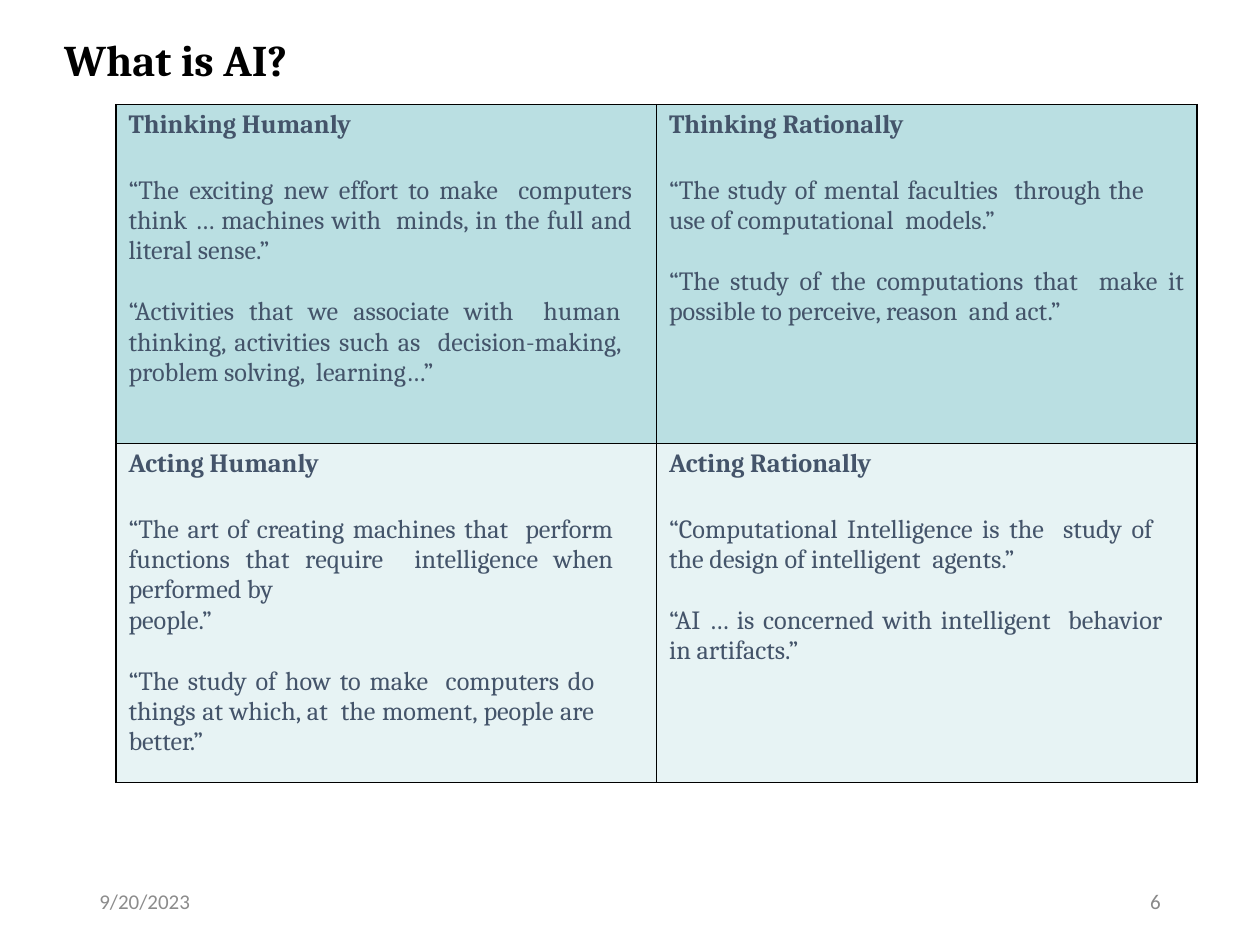
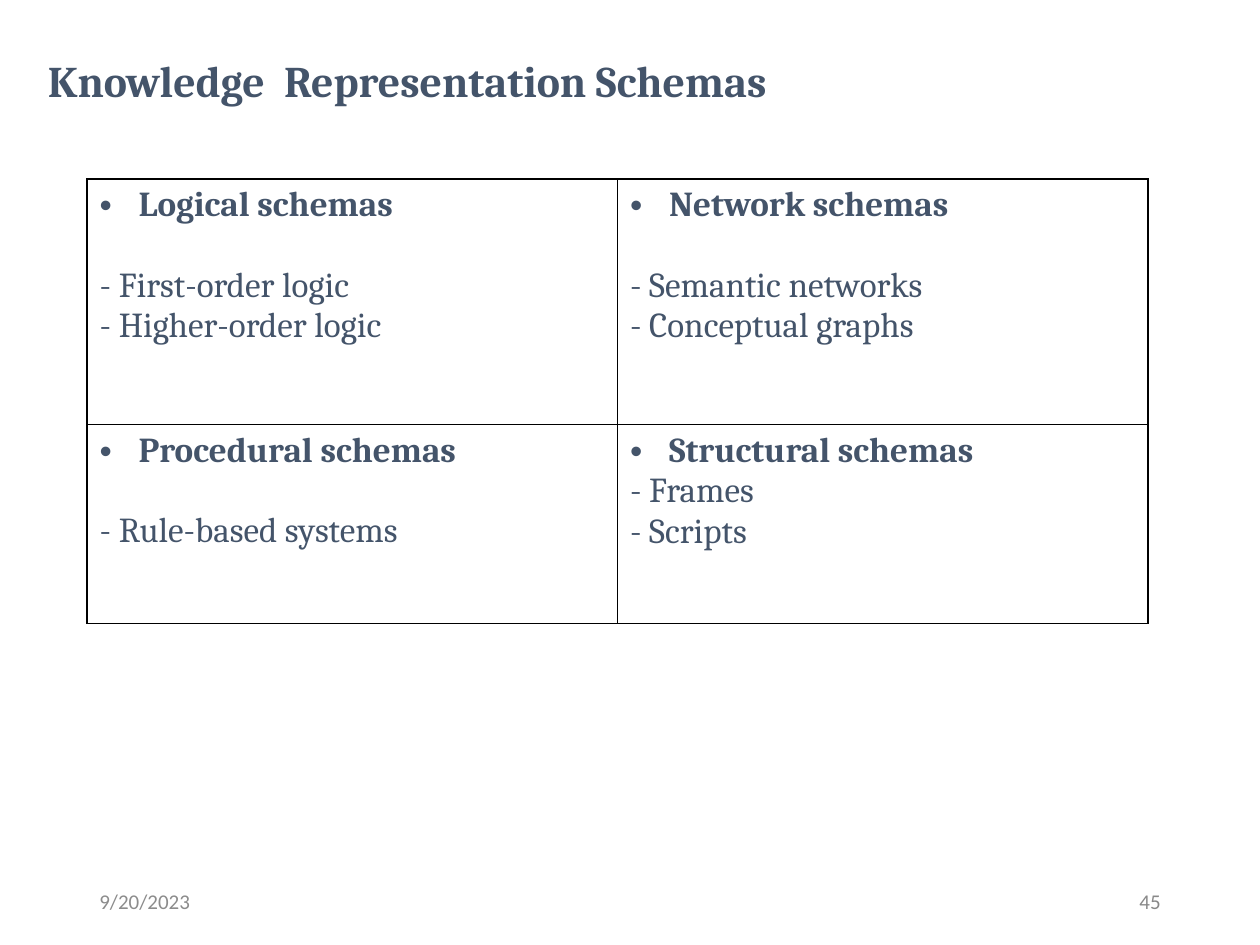
"""Build two slides, each with a two by two table of AI terms."""
import dataclasses

import pptx
import pptx.dml.color
import pptx.enum.text
import pptx.oxml.ns
import pptx.util
from lxml import etree

Inches = pptx.util.Inches
Pt = pptx.util.Pt
Align = pptx.enum.text.PP_ALIGN
Anchor = pptx.enum.text.MSO_ANCHOR
qn = pptx.oxml.ns.qn


@dataclasses.dataclass(frozen=True)
class Theme:
    """Colours, fonts and type sizes."""
    black: str = "000000"
    slate: str = "44546A"
    teal: str = "BADFE2"
    pale: str = "E7F3F4"
    date: str = "8C8C8C"
    page: str = "898989"
    serif: str = "Cambria"
    sans: str = "Calibri"
    title: int = 25
    quote: int = 15
    item: int = 20
    foot: int = 12
    rule: int = 1


class Deck:
    """Hold the theme and the current slide."""

    def __init__(self, theme):
        """Start an empty deck."""
        self.theme = theme
        self.file = pptx.Presentation()
        self.file.slide_width = Inches(10)
        self.file.slide_height = Inches(7.5)
        self.slide = None

    def start(self, page):
        """Add a slide with its date and page number."""
        self.slide = self.file.slides.add_slide(self.file.slide_layouts[5])
        self.footer("9/20/2023", 0.69, self.theme.date, Align.LEFT)
        self.footer(page, 7.06, self.theme.page, Align.RIGHT)

    def style(self, para, size, color, bold=False, font=None):
        """Format the runs of a paragraph."""
        for run in para.runs:
            run.font.name = font or self.theme.serif
            run.font.size = Pt(size)
            run.font.bold = bold
            run.font.color.rgb = pptx.dml.color.RGBColor.from_string(color)

    def footer(self, text, left, color, align):
        """Add one footer box."""
        box = self.slide.shapes.add_textbox(
            Inches(left), Inches(6.95), Inches(2.25), Inches(0.4))
        frame = box.text_frame
        frame.word_wrap = True
        frame.vertical_anchor = Anchor.MIDDLE
        frame.text = text
        para = frame.paragraphs[0]
        para.alignment = align
        self.style(para, self.theme.foot, color, font=self.theme.sans)

    def title(self, text, left, top, width, color):
        """Fill and place the title."""
        shape = self.slide.shapes.title
        shape.left, shape.top = Inches(left), Inches(top)
        shape.width, shape.height = Inches(width), Inches(0.43)
        frame = shape.text_frame
        frame.text = text
        frame.word_wrap = True
        frame.auto_size = pptx.enum.text.MSO_AUTO_SIZE.NONE
        frame.vertical_anchor = Anchor.TOP
        frame.margin_left = frame.margin_right = frame.margin_bottom = 0
        frame.margin_top = Inches(0.01)
        para = frame.paragraphs[0]
        para.alignment = Align.LEFT
        self.style(para, self.theme.title, color, bold=True)

    def table(self, left, top, width, rows):
        """Add an empty table with two equal columns."""
        shape = self.slide.shapes.add_table(
            len(rows), 2, Inches(left), Inches(top),
            Inches(width), Inches(sum(rows)))
        grid = shape.table
        grid.first_row = grid.horz_banding = False
        for col in grid.columns:
            col.width = Inches(width / 2)
        for row, height in zip(grid.rows, rows):
            row.height = Inches(height)
        for cell in grid.iter_cells():
            self.border(cell)
        return grid

    def border(self, cell):
        """Rule all four sides of a cell."""
        props = cell._tc.get_or_add_tcPr()
        for side in ("lnL", "lnR", "lnT", "lnB"):
            line = etree.SubElement(
                props, qn(f"a:{side}"), w=str(Pt(self.theme.rule)))
            fill = etree.SubElement(line, qn("a:solidFill"))
            etree.SubElement(fill, qn("a:srgbClr"), val=self.theme.black)

    def paint(self, cell, color):
        """Fill a cell, or leave it clear."""
        if color:
            cell.fill.solid()
            cell.fill.fore_color.rgb = pptx.dml.color.RGBColor.from_string(color)
        else:
            cell.fill.background()

    def head(self, cell, text, size):
        """Set the bold first line of a cell."""
        cell.text_frame.text = text
        para = cell.text_frame.paragraphs[0]
        self.style(para, size, self.theme.slate, bold=True)
        return para

    def line(self, cell, text, size, gap):
        """Add a plain paragraph to a cell."""
        para = cell.text_frame.add_paragraph()
        para.text = text
        para.space_before = Pt(gap)
        self.style(para, size, self.theme.slate)
        return para

    def quotes(self, cell, head, quotes, color):
        """Fill a cell with a heading and justified quotes."""
        self.paint(cell, color)
        cell.margin_left = Inches(0.1)
        cell.margin_right = cell.margin_bottom = 0
        cell.margin_top = Inches(0.04)
        size = self.theme.quote
        self.head(cell, head, size)
        for text, gap, right in quotes:
            para = self.line(cell, text, size, gap)
            para.alignment = Align.JUSTIFY
            para._p.get_or_add_pPr().set("marR", str(Inches(right)))

    def items(self, cell, head, gap, items):
        """Fill a cell with a bulleted heading and its items."""
        self.paint(cell, None)
        size = self.theme.item
        props = self.head(cell, head, size)._p.get_or_add_pPr()
        props.set("marL", str(Inches(0.31)))
        props.set("indent", str(Inches(-0.31)))
        etree.SubElement(props, qn("a:buFont"), typeface="Arial")
        etree.SubElement(props, qn("a:buChar"), char="•")
        for index, text in enumerate(items):
            self.line(cell, text, size, 0 if index else gap)


FIRST, NEXT = 20.5, 17.5

VIEWS = [
    ("Thinking Humanly", [
        ("“The exciting new effort to make  computers think … machines with  "
         "minds, in the full and literal sense.”", FIRST, 0.19),
        ("“Activities that we associate with  human thinking, activities such "
         "as  decision-making, problem solving,  learning…”", NEXT, 0.28)]),
    ("Thinking Rationally", [
        ("“The study of mental faculties  through the use of computational  "
         "models.”", FIRST, 0.42),
        ("“The study of the computations that  make it possible to perceive, "
         "reason  and act.”", NEXT, 0.1)]),
    ("Acting Humanly", [
        ("“The art of creating machines that  perform functions that require  "
         "intelligence when performed by", FIRST, 0.34),
        ("people.”", 0.1, 0.34),
        ("“The study of how to make  computers do things at which, at  the "
         "moment, people are better.”", NEXT, 0.49)]),
    ("Acting Rationally", [
        ("“Computational Intelligence is the  study of the design of "
         "intelligent  agents.”", FIRST, 0.35),
        ("“AI … is concerned with intelligent  behavior in artifacts.”",
         NEXT, 0.27)]),
]

SCHEMAS = [
    ("Logical schemas", 23, ["- First-order logic", "- Higher-order logic"]),
    ("Network schemas", 23, ["- Semantic networks", "- Conceptual graphs"]),
    ("Procedural schemas", 23, ["- Rule-based systems"]),
    ("Structural schemas", 0, ["- Frames", "- Scripts"]),
]


def main():
    """Build and save the deck."""
    theme = Theme()
    deck = Deck(theme)

    deck.start("6")
    deck.title("What is AI?", 0.51, 0.25, 3.12, theme.black)
    grid = deck.table(0.92, 0.83, 8.58, [2.69, 2.69])
    fills = [theme.teal] * 2 + [theme.pale] * 2
    for cell, (head, quotes), fill in zip(grid.iter_cells(), VIEWS, fills):
        deck.quotes(cell, head, quotes, fill)

    deck.start("45")
    deck.title("Knowledge  Representation Schemas", 0.38, 0.42, 8.7, theme.slate)
    grid = deck.table(0.69, 1.42, 8.42, [1.95, 1.58])
    for cell, (head, gap, items) in zip(grid.iter_cells(), SCHEMAS):
        deck.items(cell, head, gap, items)

    deck.file.save("out.pptx")


if __name__ == "__main__":
    main()
